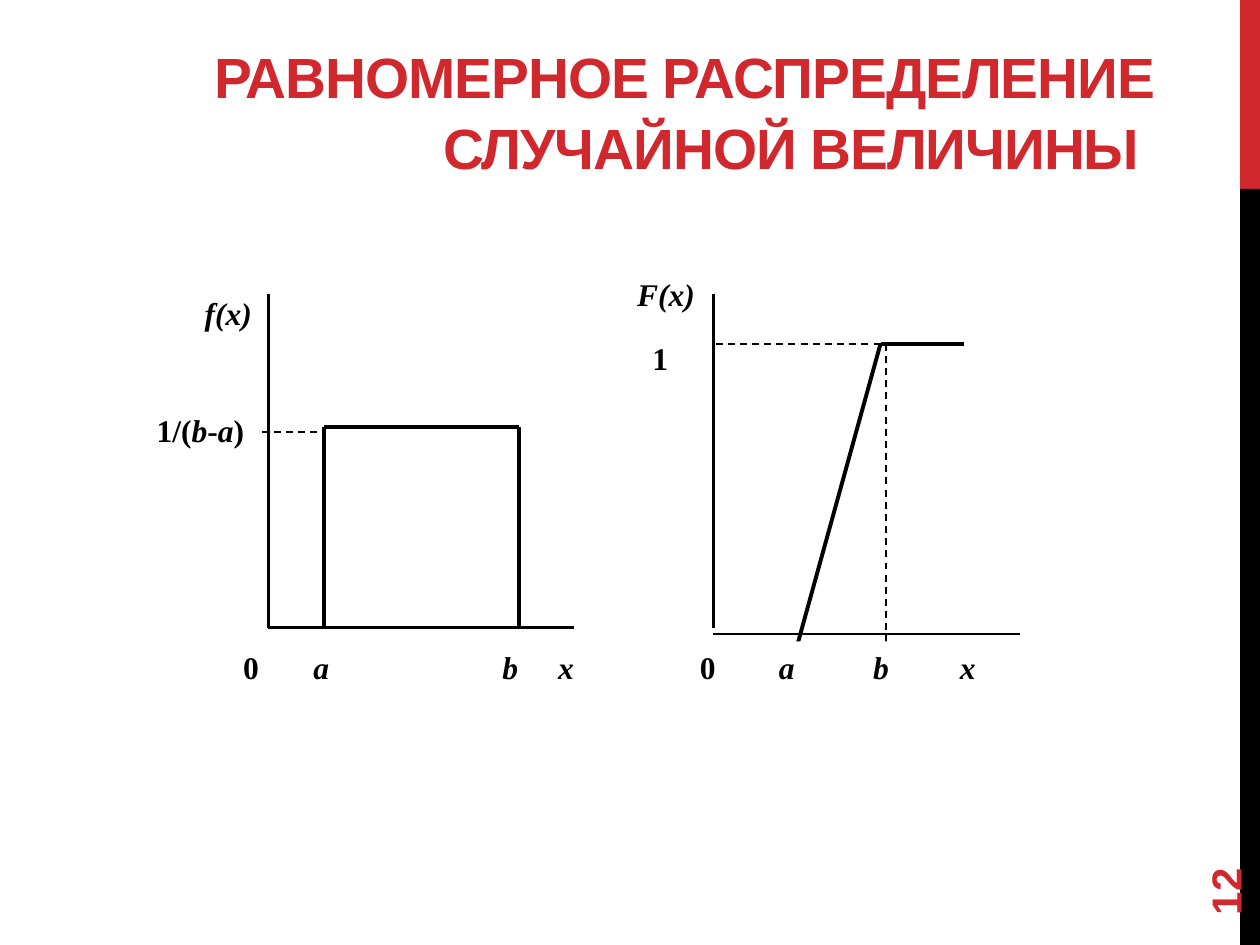
from lxml import etree
from pptx import Presentation
from pptx.dml import color
from pptx.enum import dml, shapes, text
from pptx.oxml import ns
from pptx.util import Cm, Pt

RED, BLACK, WHITE = "D1282E", "000000", "FFFFFF"
SERIF = "Times New Roman"
RIGHT = text.PP_ALIGN.RIGHT
LEFT = text.PP_ALIGN.LEFT


def paint(fmt, code):
    if isinstance(fmt, color.ColorFormat):
        fmt.rgb = color.RGBColor.from_string(code)
    else:
        fmt.solid()
        fmt.fore_color.rgb = color.RGBColor.from_string(code)


def rect(slide, x, y, w, h, fill):
    shape = slide.shapes.add_shape(
        shapes.MSO_SHAPE.RECTANGLE, Cm(x), Cm(y), Cm(w), Cm(h))
    shape.shadow.inherit = False
    paint(shape.fill, fill)
    shape.line.fill.background()
    return shape


def line(slide, x, y, pts, width, dash=False):
    for (ax, ay), (bx, by) in zip(pts, pts[1:]):
        edge = slide.shapes.add_connector(
            shapes.MSO_CONNECTOR.STRAIGHT,
            Cm(x + ax), Cm(y + ay), Cm(x + bx), Cm(y + by))
        paint(edge.line.fill, BLACK)
        edge.line.width = Pt(width)
        if dash:
            edge.line.dash_style = dml.MSO_LINE.DASH
        etree.SubElement(edge._element.spPr, ns.qn("a:effectLst"))


def write(shape, parts, size=18, font=SERIF, code=BLACK, align=LEFT,
          anchor=text.MSO_ANCHOR.TOP, pad=(0.25, 0.13)):
    frame = shape.text_frame
    frame.word_wrap = True
    frame.vertical_anchor = anchor
    frame.margin_left = frame.margin_right = Cm(pad[0])
    frame.margin_top = frame.margin_bottom = Cm(pad[1])
    para = frame.paragraphs[0]
    para.alignment = align
    for words, slant in parts:
        run = para.add_run()
        run.text = words
        run.font.size = Pt(size)
        run.font.name = font
        run.font.bold = True
        run.font.italic = slant
        paint(run.font.color, code)
    return para


def label(slide, x, y, w, h, parts):
    write(rect(slide, x, y, w, h, WHITE), parts, align=RIGHT, pad=(0, 0))


def title(slide, x, y, w, h):
    box = slide.shapes.add_textbox(Cm(x), Cm(y), Cm(w), Cm(h))
    para = write(box, [("РАВНОМЕРНОЕ РАСПРЕДЕЛЕНИЕ СЛУЧАЙНОЙ ВЕЛИЧИНЫ ", False)],
                 32.4, "Arial", RED, RIGHT, text.MSO_ANCHOR.BOTTOM)
    para.line_spacing = 1.05
    para.runs[0].font._element.set("spc", "-60")


def side(slide, x, y, w, h):
    rect(slide, x, y, w, h * 0.2, RED)
    rect(slide, x, y + h * 0.2, w, h * 0.8, BLACK)


def number(slide, x, y, w, h):
    box = slide.shapes.add_textbox(Cm(x), Cm(y), Cm(w), Cm(h))
    box.rotation = 270
    write(box, [("12", False)], 24, "Arial", RED, anchor=text.MSO_ANCHOR.MIDDLE)


def density(slide, x, y, w, h):
    axis, a, b, top = 2.51, 3.63, 7.56, 2.69
    label(slide, x, y, 2.18, 1.63, [("f(x)", True)])
    label(slide, x, y + 2.36, 2.18, 1.55,
          [("1/(", False), ("b", True), ("-", False), ("a", True), (") ", False)])
    line(slide, x, y, [(axis, 0), (axis, h), (w, h)], 1.5)
    line(slide, x, y, [(a, h), (a, top), (b, top), (b, h)], 2.25)
    line(slide, x, y, [(2.38, 2.79), (3.5, 2.79)], 1, True)


def total(slide, x, y, w, h):
    axis, a, b, drop, one = 1.78, 3.48, 5.15, 5.26, 1.39
    label(slide, x, y, 1.57, 1.57, [("F(x) ", True)])
    write(rect(slide, x + 0.3, y + 1.17, 1.12, 1.37, WHITE), [("1", False)])
    line(slide, x, y, [(axis, 0.38), (axis, 7.11)], 1.5)
    line(slide, x, y, [(axis, 7.24), (w, 7.24)], 1.5)
    line(slide, x, y, [(a, h), (b, one), (6.83, one)], 2.25)
    line(slide, x, y, [(drop, one), (drop, h)], 1, True)
    line(slide, x, y, [(b, one), (axis, one)], 1, True)


def ticks(slide, x, y, w, h):
    para = write(rect(slide, x, y, w, h, WHITE),
                 [("0\t", False), ("a\tb\tx\t", True),
                  ("0\t", False), ("a\tb\tx", True)], pad=(0.4, 0.13))
    stops = etree.SubElement(para._p.get_or_add_pPr(), ns.qn("a:tabLst"))
    for pos in (1.42, 5.23, 6.35, 9.21, 10.8, 12.7, 14.45):
        etree.SubElement(stops, ns.qn("a:tab"), pos=str(Cm(pos)), algn="l")


def main():
    deck = Presentation()
    deck.slide_width, deck.slide_height = Cm(25.4), Cm(19.05)
    slide = deck.slides.add_slide(deck.slide_layouts[6])
    side(slide, 25, 0, 0.4, 19.05)
    title(slide, 1.3, 1.68, 22.22, 2.1)
    density(slide, 2.9, 5.92, 8.68, 6.73)
    total(slide, 12.6, 5.54, 7.97, 7.44)
    ticks(slide, 4.5, 12.93, 15.93, 1.52)
    number(slide, 22.86, 16.36, 3.66, 1.02)
    deck.save("out.pptx")


if __name__ == "__main__":
    main()
